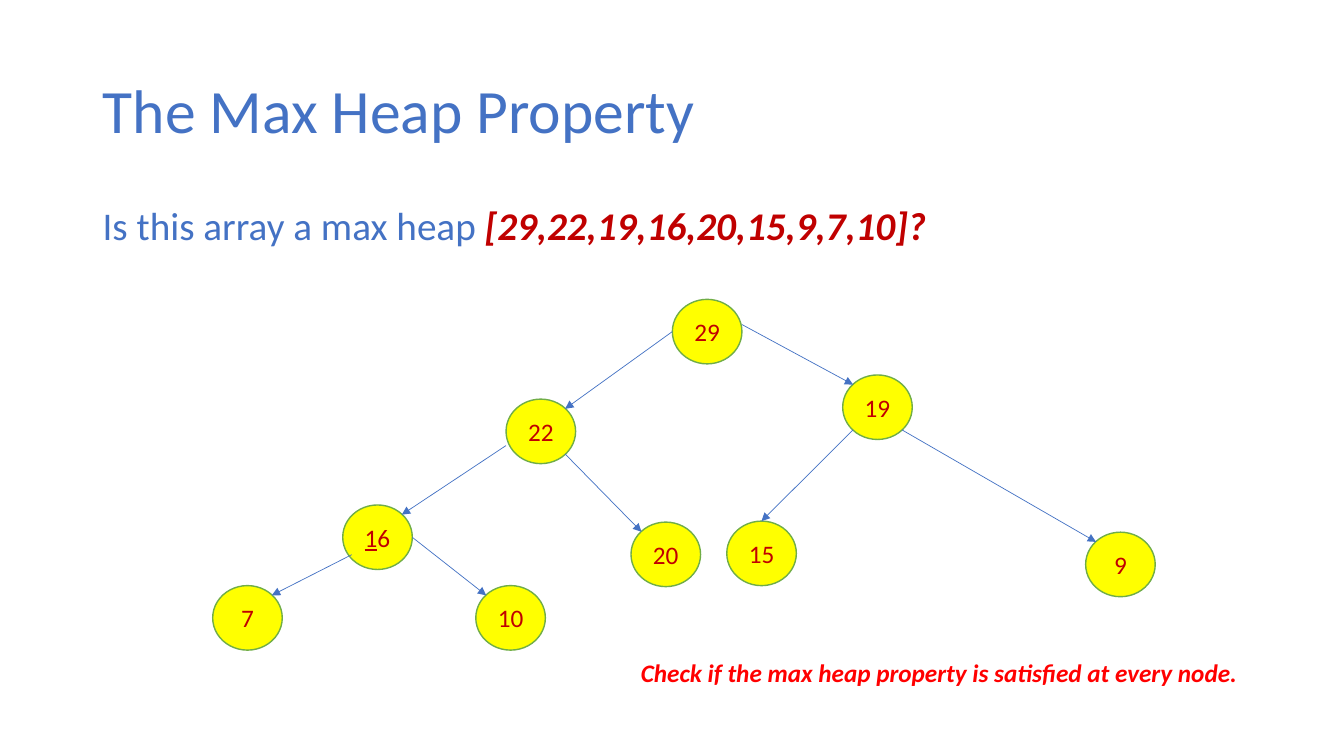
from dataclasses import dataclass

from lxml.etree import SubElement
from pptx import Presentation
from pptx.dml.color import RGBColor
from pptx.enum.shapes import MSO_CONNECTOR, MSO_SHAPE
from pptx.enum.text import MSO_ANCHOR, MSO_AUTO_SIZE, PP_ALIGN
from pptx.oxml.ns import qn
from pptx.util import Inches, Pt

# The grid has square cells, ten to the inch.
COLUMNS, ROWS = 133.33, 75
NODE_WIDTH, NODE_HEIGHT = 6.9, 6.4
BLUE, DARK_RED, RED = "4472C4", "C00000", "FF0000"
YELLOW, GREEN = "FFFF00", "70AD47"

# Points on a node, as shares of its width and height.
LEFT, RIGHT, TOP = (0, 0.5), (1, 0.5), (0.5, 0)
UPPER_LEFT, UPPER_RIGHT = (0.15, 0.15), (0.85, 0.15)
LOWER_LEFT, LOWER_RIGHT = (0.15, 0.85), (0.85, 0.85)


@dataclass(frozen=True)
class Node:
    spans: tuple
    column: float
    row: float

    def point(self, share: tuple) -> tuple:
        return (cells(self.column + share[0] * NODE_WIDTH),
                cells(self.row + share[1] * NODE_HEIGHT))


@dataclass(frozen=True)
class Edge:
    parent: int
    child: int
    start: tuple
    end: tuple


NODES = {
    29: Node(("29",), 66.7, 29.7),
    22: Node(("22",), 50.2, 39.6),
    19: Node(("19",), 83.6, 37.2),
    16: Node(("1", "6"), 34, 50.1),
    20: Node(("20",), 62.6, 51.8),
    15: Node(("15",), 72.1, 51.7),
    9: Node(("9",), 107.7, 52.8),
    7: Node(("7",), 21.1, 58.1),
    10: Node(("10",), 47.2, 58.1),
}
EDGES = [
    Edge(29, 22, LEFT, UPPER_RIGHT),
    Edge(29, 19, (1, 0.39), UPPER_LEFT),
    Edge(22, 16, (0, 0.72), UPPER_RIGHT),
    Edge(16, 7, (0.13, 0.77), UPPER_RIGHT),
    Edge(16, 10, RIGHT, UPPER_LEFT),
    Edge(19, 15, LOWER_LEFT, TOP),
    Edge(19, 9, LOWER_RIGHT, UPPER_LEFT),
    Edge(22, 20, LOWER_RIGHT, UPPER_LEFT),
]


def cells(count: float) -> int:
    return Inches(count / 10)


def color(value: str) -> RGBColor:
    return RGBColor.from_string(value)


def add_span(para, text: str, size: int, shade: str, strong: bool = False):
    """Append a run; a strong one is bold and italic."""
    span = para.add_run()
    span.text = text
    span.font.name = "Calibri"
    span.font.size = Pt(size)
    span.font.color.rgb = color(shade)
    if strong:
        span.font.bold = span.font.italic = True
    return span


def add_title(page, text: str) -> None:
    box = page.shapes.title
    box.left, box.top, box.width, box.height = map(cells, (9.2, 4, 115, 14.5))
    box.text_frame.vertical_anchor = MSO_ANCHOR.MIDDLE
    para = box.text_frame.paragraphs[0]
    para.alignment = PP_ALIGN.LEFT
    para.line_spacing = 0.9
    add_span(para, text, 44, BLUE)


def add_text_box(page, column: float, row: float, width: float, height: float):
    box = page.shapes.add_textbox(*map(cells, (column, row, width, height)))
    box.text_frame.word_wrap = True
    return box.text_frame


def add_node(page, node: Node):
    shape = page.shapes.add_shape(
        MSO_SHAPE.FLOWCHART_CONNECTOR, cells(node.column), cells(node.row),
        cells(NODE_WIDTH), cells(NODE_HEIGHT))
    shape.shadow.inherit = False
    shape.fill.solid()
    shape.fill.fore_color.rgb = color(YELLOW)
    shape.line.color.rgb = color(GREEN)
    shape.line.width = Pt(1)
    shape.text_frame.vertical_anchor = MSO_ANCHOR.MIDDLE
    para = shape.text_frame.paragraphs[0]
    para.alignment = PP_ALIGN.CENTER
    spans = [add_span(para, text, 18, DARK_RED) for text in node.spans]
    if len(spans) > 1:
        spans[0].font.underline = True
    return shape


def add_edge(page, edge: Edge, shapes: dict) -> None:
    arrow = page.shapes.add_connector(
        MSO_CONNECTOR.STRAIGHT, *NODES[edge.parent].point(edge.start),
        *NODES[edge.child].point(edge.end))
    if edge.end == TOP:
        arrow.end_connect(shapes[edge.child], 0)
    arrow.line.color.rgb = color(BLUE)
    arrow.line.width = Pt(0.5)
    SubElement(arrow.line._get_or_add_ln(), qn("a:tailEnd"), type="triangle")
    SubElement(arrow._element.spPr, qn("a:effectLst"))


def main() -> None:
    deck = Presentation()
    deck.slide_width, deck.slide_height = cells(COLUMNS), cells(ROWS)
    page = deck.slides.add_slide(deck.slide_layouts[5])
    add_title(page, "The Max Heap Property")

    question = add_text_box(page, 9.2, 20, 115, 47.6).paragraphs[0]
    question.line_spacing = 0.9
    question.space_before = Pt(10)
    add_span(question, "Is this array a max heap ", 28, BLUE)
    add_span(question, "[29,22,19,16,20,15,9,7,10]?", 28, DARK_RED, strong=True)

    shapes = {value: add_node(page, node) for value, node in NODES.items()}
    for edge in EDGES:
        add_edge(page, edge, shapes)

    hint = add_text_box(page, 62.6, 64.7, 66.7, 4)
    hint.auto_size = MSO_AUTO_SIZE.SHAPE_TO_FIT_TEXT
    add_span(hint.paragraphs[0],
             "Check if the max heap property is satisfied at every node.",
             18, RED, strong=True)
    deck.save("out.pptx")


if __name__ == "__main__":
    main()
